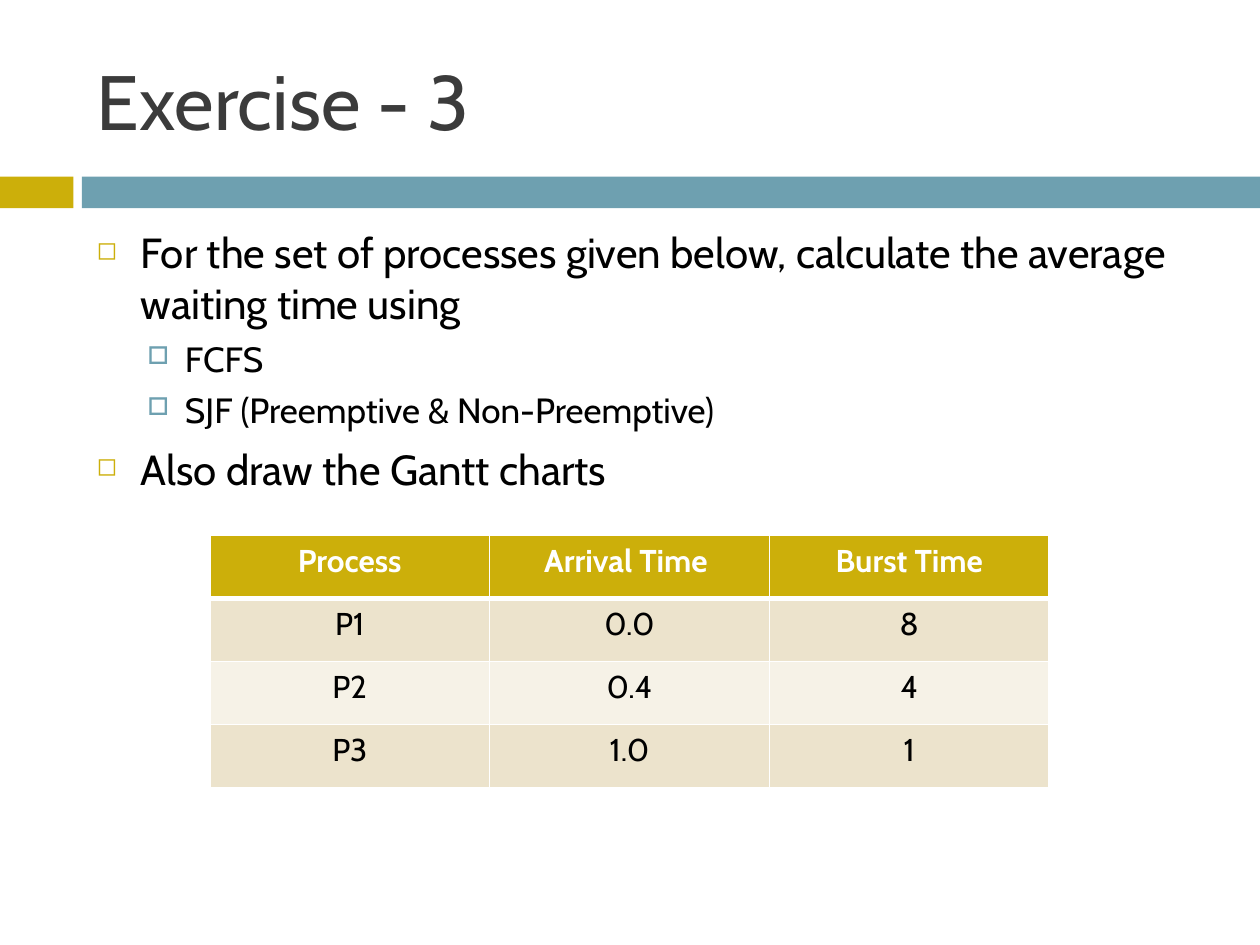
"""Build the scheduling exercise slide with its bullets and process table."""
from lxml.etree import SubElement
from pptx import Presentation
from pptx.dml.color import RGBColor
from pptx.enum.shapes import MSO_SHAPE
from pptx.enum.text import MSO_ANCHOR, PP_ALIGN
from pptx.oxml.ns import qn
from pptx.util import Cm, Pt

COLORS = {"gold": "CCAF0A", "teal": "6EA0B0", "title": "3B3B3B", "text": "000000",
          "white": "FFFFFF", "band": "ECE3CC", "pale": "F6F2E7"}


def add_run(p, text, size, color, bold=False):
    r = p.add_run()
    r.text = text
    r.font.name = "Cabin"
    r.font.size = Pt(size)
    r.font.bold = bold
    r.font.color.rgb = RGBColor.from_string(COLORS[color])


def add_color(parent, color):
    SubElement(parent, qn("a:srgbClr"), val=COLORS[color])


prs = Presentation()
prs.slide_width, prs.slide_height = Cm(25.4), Cm(19.05)
s = prs.slides.add_slide(prs.slide_layouts[5])

for left, width, color in [(0, 1.48, "gold"), (1.65, 23.75, "teal")]:
    sp = s.shapes.add_shape(MSO_SHAPE.RECTANGLE, Cm(left), Cm(3.56), Cm(width), Cm(0.64))
    sp.shadow.inherit = False
    sp.fill.solid()
    sp.fill.fore_color.rgb = RGBColor.from_string(COLORS[color])
    sp.line.fill.background()

title = s.shapes.title
title.left, title.top, title.width, title.height = Cm(1.7), Cm(0.64), Cm(22.65), Cm(2.74)
tf = title.text_frame
tf.vertical_anchor = MSO_ANCHOR.MIDDLE
p = tf.paragraphs[0]
p.alignment = PP_ALIGN.LEFT
add_run(p, "Exercise - 3", 44, "title")

LEVELS = [
    dict(size=24, before=7, margin=0.89, hang=0.89, char="\u25fb", color="gold", scale=60),
    dict(size=20, before=5.5, margin=1.78, hang=0.76, char="\u25a1", color="teal", scale=70),
]
BULLETS = [
    (0, "For the set of processes given below, calculate the average waiting time using"),
    (1, "FCFS"),
    (1, "SJF (Preemptive & Non-Preemptive)"),
    (0, "Also draw the Gantt charts"),
]
body = s.shapes.add_textbox(Cm(1.7), Cm(4.45), Cm(22.65), Cm(12.5))
tf = body.text_frame
tf.word_wrap = True
for i, (level, text) in enumerate(BULLETS):
    style = LEVELS[level]
    p = tf.add_paragraph() if i else tf.paragraphs[0]
    p.level = level
    p.space_before = Pt(style["before"])
    add_run(p, text, style["size"], "text")
    pPr = p._p.get_or_add_pPr()
    pPr.set("marL", str(Cm(style["margin"])))
    pPr.set("indent", str(-Cm(style["hang"])))
    add_color(SubElement(pPr, qn("a:buClr")), style["color"])
    SubElement(pPr, qn("a:buSzPct"), val=str(style["scale"] * 1000))
    SubElement(pPr, qn("a:buChar"), char=style["char"])

ROWS = [
    ("Process", "Arrival Time ", "Burst Time"),
    ("P1", "0.0", "8"),
    ("P2", "0.4", "4"),
    ("P3", "1.0", "1"),
]
table = s.shapes.add_table(4, 3, Cm(4.23), Cm(10.8), Cm(16.92), Cm(5.08)).table
for col in table.columns:
    col.width = Cm(5.64)
for i, row in enumerate(ROWS):
    table.rows[i].height = Cm(1.27)
    header = i == 0
    fill = "gold" if header else "band" if i % 2 else "pale"
    for j, text in enumerate(row):
        cell = table.cell(i, j)
        p = cell.text_frame.paragraphs[0]
        p.alignment = PP_ALIGN.CENTER
        add_run(p, text, 18, "white" if header else "text", header)
        tcPr = cell._tc.get_or_add_tcPr()
        for side in "LRTB":
            thick = (header and side == "B") or (i == 1 and side == "T")
            ln = SubElement(tcPr, qn(f"a:ln{side}"), w=str(Pt(3 if thick else 1)))
            add_color(SubElement(ln, qn("a:solidFill")), "white")
        cell.fill.solid()
        cell.fill.fore_color.rgb = RGBColor.from_string(COLORS[fill])

prs.save("out.pptx")
